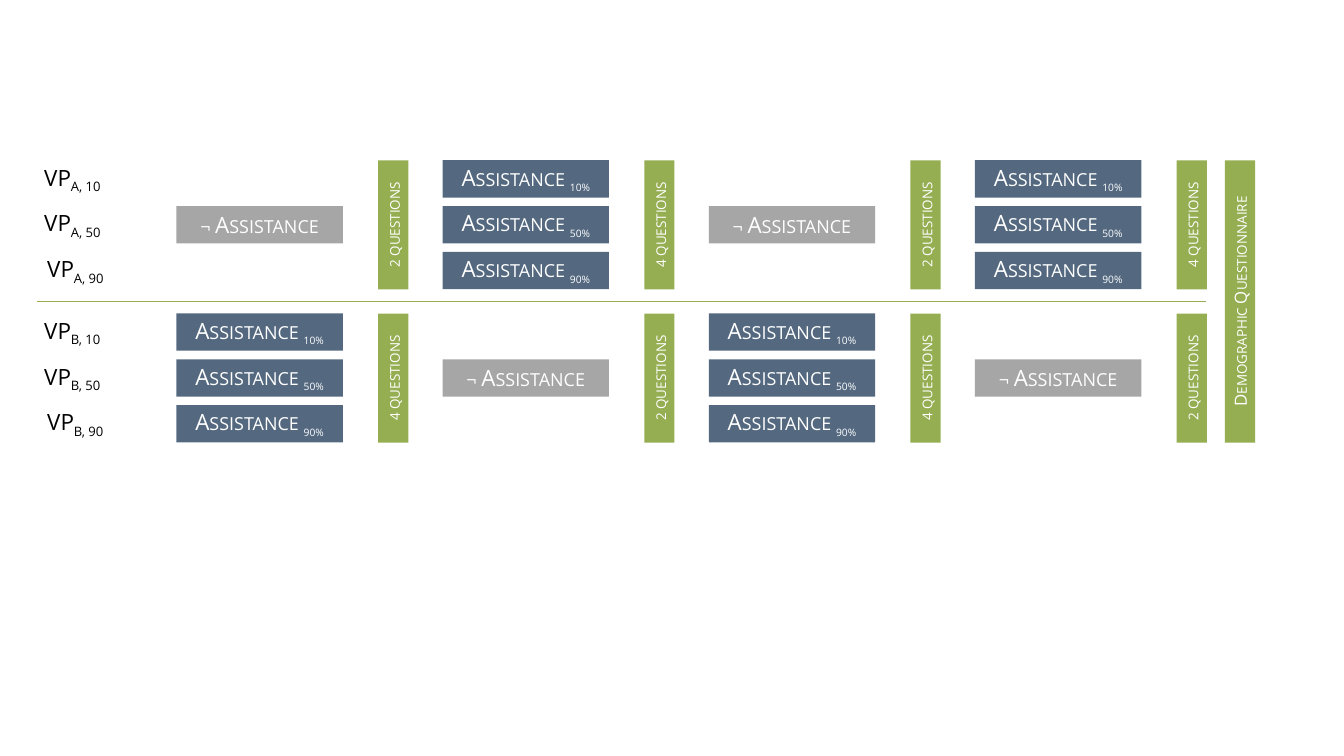
"""Build the study design slide: two groups, four sessions and questionnaires."""
from pptx import Presentation
from pptx.dml.color import RGBColor
from pptx.enum import shapes, text
from pptx.oxml.ns import qn
from pptx.util import Inches, Pt
from lxml import etree

GROUPS = [("A", 1.59, False), ("B", 3.11, True)]
LEVELS = ["10", "50", "90"]
SESSIONS = 4
BLUE, GRAY, GREEN, WHITE, BLACK = "546980", "A6A6A6", "96AE52", "FFFFFF", "000000"
FIRST, PITCH = 1.75, 2.64
WIDE, HIGH = 1.65, 0.37
BAND, BAR = 1.28, 0.3
STEP = (BAND - HIGH) / (len(LEVELS) - 1)


def color(code):
    return RGBColor.from_string(code)


def write(shape, runs, size, ink, caps=False):
    frame = shape.text_frame
    frame.word_wrap = True
    frame.auto_size = text.MSO_AUTO_SIZE.NONE
    frame.vertical_anchor = text.MSO_ANCHOR.MIDDLE
    para = frame.paragraphs[0]
    para.alignment = text.PP_ALIGN.CENTER if caps else text.PP_ALIGN.LEFT
    for index, words in enumerate(runs):
        run = para.add_run()
        run.text = words
        run.font.size = Pt(size)
        run.font.name = "Open Sans"
        run.font.color.rgb = color(ink)
        props = run.font._element
        if caps:
            props.set("cap", "small")
        if index:
            props.set("baseline", "-25000")


def box(left, top, width, height, fill, runs, size=16, turn=0):
    shape = slide.shapes.add_shape(
        shapes.MSO_SHAPE.RECTANGLE, Inches(left), Inches(top), Inches(width), Inches(height))
    shape.shadow.inherit = False
    shape.fill.solid()
    shape.fill.fore_color.rgb = color(fill)
    shape.line.fill.background()
    shape.rotation = turn
    write(shape, runs, size, WHITE, caps=True)


def bar(left, top, length, words):
    shift = (length - BAR) / 2
    box(left - shift, top + shift, length, BAR, GREEN, [words], 12, 270)


deck = Presentation()
deck.slide_width, deck.slide_height = Inches(13.33), Inches(7.5)
slide = deck.slides.add_slide(deck.slide_layouts[6])

for group, top, starts in GROUPS:
    rows = [(level, top + STEP * row) for row, level in enumerate(LEVELS)]
    for level, y in rows:
        left = 0.37 if level == "90" else 0.34
        label = slide.shapes.add_textbox(Inches(left), Inches(y), Inches(1.21), Inches(HIGH))
        write(label, ["VP", f"{group}, {level}"], 16, BLACK)
    for session in range(SESSIONS):
        left = FIRST + PITCH * session
        helped = starts == (session % 2 == 0)
        if helped:
            for level, y in rows:
                box(left, y, WIDE, HIGH, BLUE, ["Assistance ", f"{level}%"])
        else:
            box(left, top + STEP, WIDE, HIGH, GRAY, ["¬ Assistance"])
        bar(left + 2, top, BAND, "4 questions" if helped else "2 questions")

bar(12.15, GROUPS[0][1], 2.8, "Demographic Questionnaire")

rule = slide.shapes.add_connector(
    shapes.MSO_CONNECTOR.STRAIGHT, Inches(0.37), Inches(2.99), Inches(11.96), Inches(2.99))
rule.line.color.rgb = color(GREEN)
rule.line.width = Pt(0.75)
etree.SubElement(rule._element.spPr, qn("a:effectLst"))

deck.save("out.pptx")
